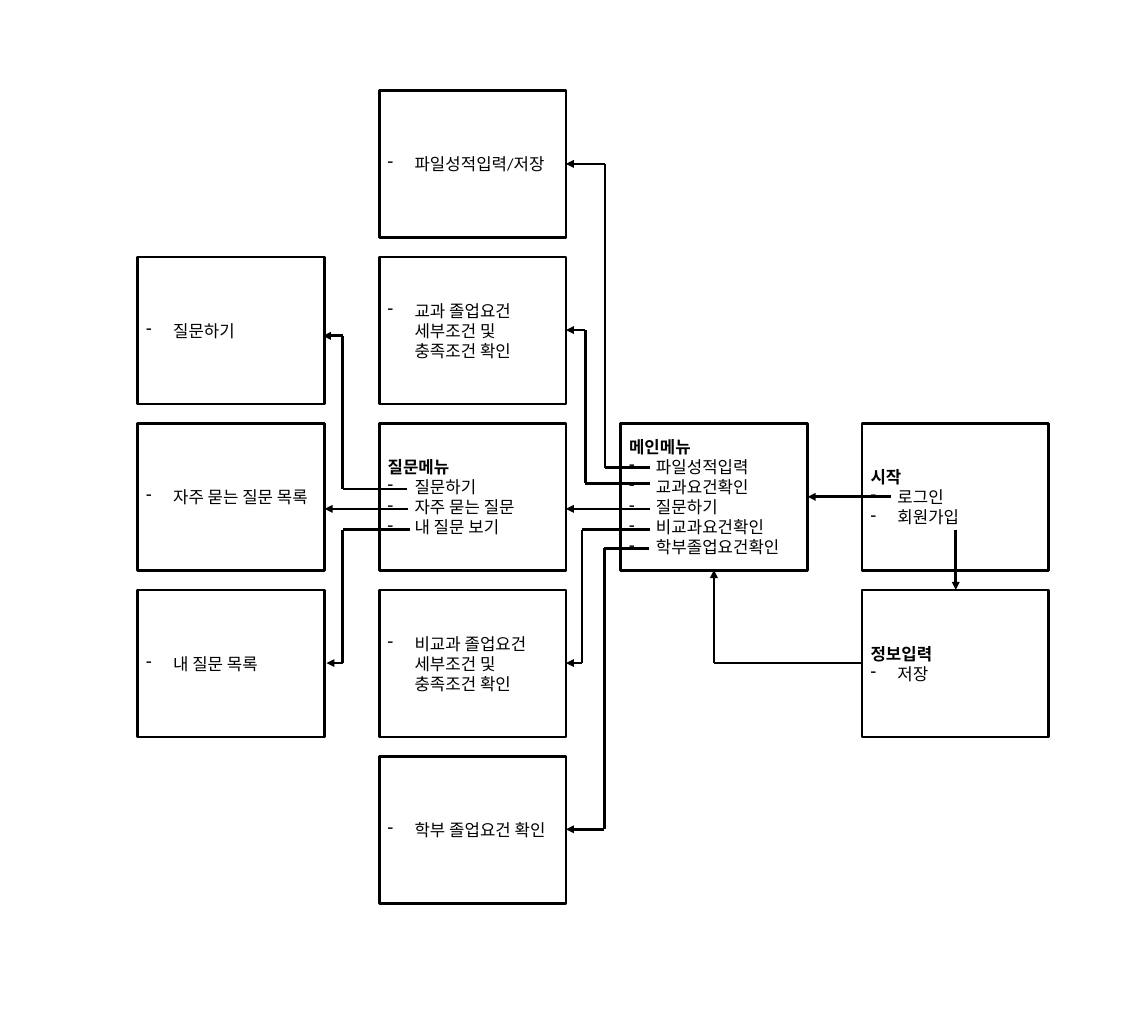
import itertools

import pptx
import pptx.dml.color
import pptx.enum.shapes
import pptx.enum.text
import pptx.oxml.ns
import pptx.util
from lxml import etree

Pt = pptx.util.Pt
BLACK = "000000"
FONT = "Calibri"
LINE_WIDTH = 2.25
HANGING_INDENT = 22.5

# Box grid: column, row, heading, items
SCREENS = [
    (2, 2, "메인메뉴", ["파일성적입력", "교과요건확인", "질문하기",
                    "비교과요건확인", "학부졸업요건확인"]),
    (3, 2, "시작", ["로그인", "회원가입"]),
    (3, 3, "정보입력", ["저장"]),
    (1, 2, "질문메뉴", ["질문하기", "자주 묻는 질문", "내 질문 보기"]),
    (1, 1, None, ["교과 졸업요건 세부조건 및 충족조건 확인"]),
    (1, 0, None, ["파일성적입력/저장"]),
    (1, 3, None, ["비교과 졸업요건 세부조건 및 충족조건 확인"]),
    (1, 4, None, ["학부 졸업요건 확인"]),
    (0, 2, None, ["자주 묻는 질문 목록"]),
    (0, 3, None, ["내 질문 목록"]),
    (0, 1, None, ["질문하기"]),
]
GRID_LEFT, GRID_TOP = 115.2, 75.6
COLUMN_STEP, ROW_STEP = 201.9, 139.2
BOX_WIDTH, BOX_HEIGHT = 156.2, 123.1

# Menu links: start x, start y, lane x, end x, end y
MENU_LINKS = [
    (543.6, 391, 506, 473.3, 137),
    (543.6, 404, 489.6, 473.3, 276),
    (543.6, 442.8, 486.7, 473.3, 554.4),
    (543, 458.6, 505.5, 473.3, 693.4),
    (340, 409, 286.6, 270, 280.8),
    (342.7, 442.8, 286.6, 273, 554.4),
]
# Remaining routes as corner points; the arrowhead is at the last one
ROUTES = [
    [(799.2, 442.8), (799.2, 493.2)],
    [(745.2, 415.4), (675.4, 415.4)],
    [(543.6, 425.5), (473.3, 425.5)],
    [(341.3, 425.5), (271.4, 425.5)],
    [(720.9, 554.4), (597, 554.4), (597, 476.6)],
]


def color(value):
    """Turn a hex string into a colour."""
    return pptx.dml.color.RGBColor.from_string(value)


def add_child(parent, tag, **attributes):
    """Append a DrawingML element."""
    return etree.SubElement(parent, pptx.oxml.ns.qn(tag), attributes)


def style_line(line):
    """Give a line the common stroke."""
    line.color.rgb = color(BLACK)
    line.width = Pt(LINE_WIDTH)


def write_paragraph(paragraph, text, heading):
    """Write a bold heading or a dashed item."""
    paragraph.alignment = pptx.enum.text.PP_ALIGN.LEFT
    if not heading:
        properties = paragraph._p.get_or_add_pPr()
        properties.set("marL", str(Pt(HANGING_INDENT)))
        properties.set("indent", str(-Pt(HANGING_INDENT)))
        add_child(properties, "a:buChar", char="-")
    run = paragraph.add_run()
    run.text = text
    run.font.name = FONT
    run.font.size = Pt(14)
    run.font.bold = heading
    run.font.color.rgb = color(BLACK)


def add_screen(slide, column, row, heading, items):
    """Draw one screen box at its grid cell."""
    box = slide.shapes.add_shape(
        pptx.enum.shapes.MSO_SHAPE.RECTANGLE,
        Pt(GRID_LEFT + column * COLUMN_STEP), Pt(GRID_TOP + row * ROW_STEP),
        Pt(BOX_WIDTH), Pt(BOX_HEIGHT))
    box.shadow.inherit = False
    box.fill.background()
    style_line(box.line)
    frame = box.text_frame
    frame.word_wrap = True
    frame.vertical_anchor = pptx.enum.text.MSO_ANCHOR.MIDDLE
    texts = [(heading, True)] if heading else []
    texts += [(item, False) for item in items]
    for index, (text, is_heading) in enumerate(texts):
        paragraph = frame.add_paragraph() if index else frame.paragraphs[0]
        write_paragraph(paragraph, text, is_heading)


def add_route(slide, points):
    """Draw straight segments through the points, ending in an arrowhead."""
    for start, end in itertools.pairwise(points):
        connector = slide.shapes.add_connector(
            pptx.enum.shapes.MSO_CONNECTOR.STRAIGHT,
            *(Pt(value) for value in start + end))
        style_line(connector.line)
        add_child(connector._element.spPr, "a:effectLst")
    add_child(connector.line._get_or_add_ln(), "a:tailEnd", type="triangle")


presentation = pptx.Presentation()
presentation.slide_width = Pt(960)
presentation.slide_height = Pt(852)
slide = presentation.slides.add_slide(presentation.slide_layouts[6])

for screen in SCREENS:
    add_screen(slide, *screen)
for start_x, start_y, lane_x, end_x, end_y in MENU_LINKS:
    add_route(slide, [(start_x, start_y), (lane_x, start_y),
                      (lane_x, end_y), (end_x, end_y)])
for route in ROUTES:
    add_route(slide, route)

presentation.save("out.pptx")
